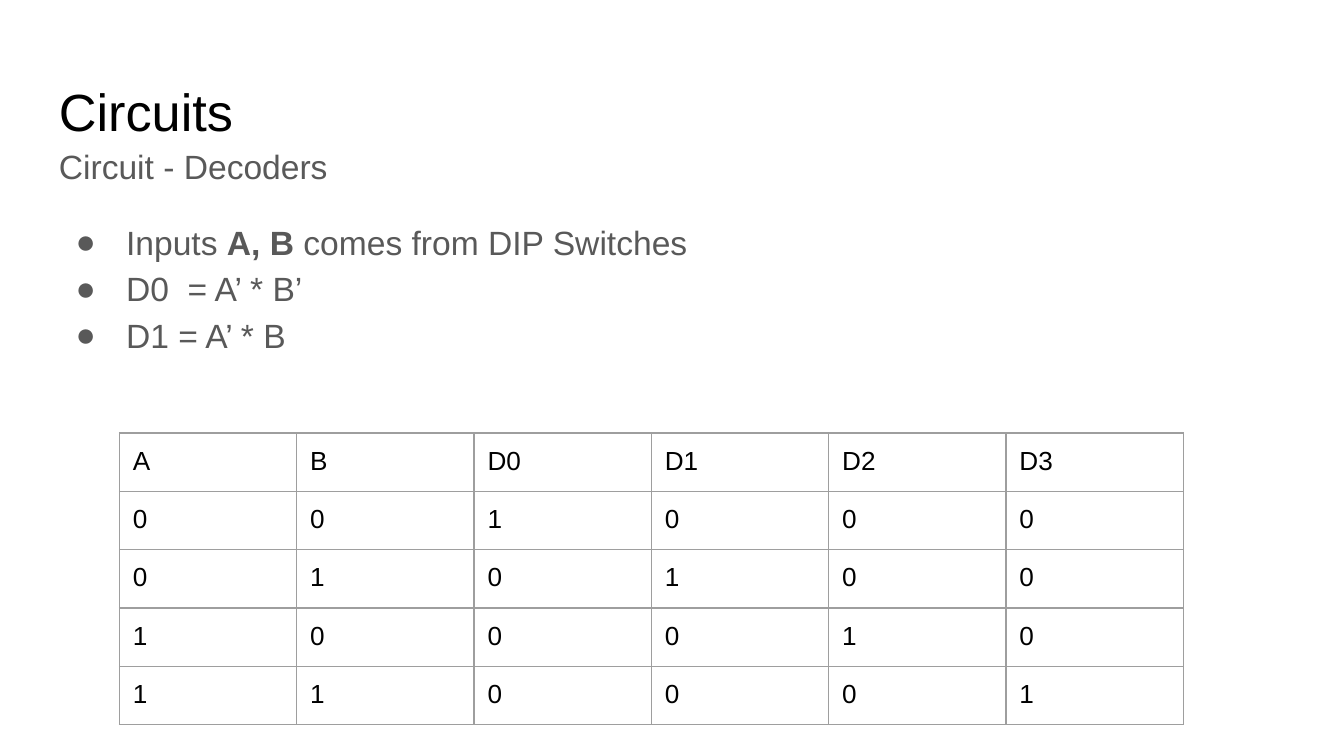
from itertools import product

from lxml.etree import SubElement
from pptx import Presentation
from pptx.dml.color import RGBColor
from pptx.enum.text import MSO_ANCHOR
from pptx.oxml.ns import qn
from pptx.util import Pt

FONT = "Arial"
BLACK, GREY, RULE = "000000", "595959", "9E9E9E"
INSET = Pt(7.2)


def color(value):
    return RGBColor.from_string(value)


def add_text(para, text, size=18, fill=GREY, bold=False):
    span = para.add_run()
    span.text = text
    span.font.name = FONT
    span.font.size = Pt(size)
    span.font.bold = bold
    span.font.color.rgb = color(fill)


def add_frame(page, box):
    frame = page.shapes.add_textbox(*map(Pt, box)).text_frame
    frame.word_wrap = True
    frame.vertical_anchor = MSO_ANCHOR.TOP
    frame.margin_left = frame.margin_right = INSET
    frame.margin_top = frame.margin_bottom = INSET
    return frame


def set_bullet(para):
    properties = para._p.get_or_add_pPr()
    properties.set("marL", str(Pt(36)))
    properties.set("indent", str(Pt(-27)))
    bullet_color = SubElement(properties, qn("a:buClr"))
    SubElement(bullet_color, qn("a:srgbClr"), val=GREY)
    SubElement(properties, qn("a:buFont"), typeface=FONT)
    SubElement(properties, qn("a:buChar"), char="●")


def set_borders(cell):
    properties = cell._tc.get_or_add_tcPr()
    for position, side in enumerate(("a:lnL", "a:lnR", "a:lnT", "a:lnB")):
        line = properties.makeelement(qn(side), {"w": str(Pt(0.75))})
        fill = SubElement(line, qn("a:solidFill"))
        SubElement(fill, qn("a:srgbClr"), val=RULE)
        properties.insert(position, line)


def add_title(page, box, text):
    add_text(add_frame(page, box).paragraphs[0], text, size=28, fill=BLACK)


def add_body(page, box, heading, bullets):
    frame = add_frame(page, box)
    para = frame.paragraphs[0]
    para.line_spacing = 1.15
    add_text(para, heading)
    for index, pieces in enumerate(bullets):
        para = frame.add_paragraph()
        para.line_spacing = 1.15
        para.space_before = Pt(0 if index else 16)
        set_bullet(para)
        for text, bold in pieces:
            add_text(para, text, bold=bold)


def add_truth_table(page, box, rows):
    table = page.shapes.add_table(len(rows), len(rows[0]), *map(Pt, box)).table
    table.first_row = table.horz_banding = False
    for row, values in enumerate(rows):
        for column, value in enumerate(values):
            cell = table.cell(row, column)
            cell.margin_left = cell.margin_right = INSET
            cell.margin_top = cell.margin_bottom = INSET
            cell.fill.background()
            set_borders(cell)
            add_text(cell.text_frame.paragraphs[0], value, size=14, fill=BLACK)


def decoder_rows():
    # Each pair of inputs switches on exactly one output
    rows = [["A", "B", "D0", "D1", "D2", "D3"]]
    for a, b in product((0, 1), repeat=2):
        outputs = [int(output == 2 * a + b) for output in range(4)]
        rows.append([str(bit) for bit in (a, b, *outputs)])
    return rows


def main():
    deck = Presentation()
    deck.slide_width, deck.slide_height = Pt(720), Pt(405)
    page = deck.slides.add_slide(deck.slide_layouts[6])

    # Title
    add_title(page, (24.5, 35, 671, 45.1), "Circuits")

    # Subtitle and bullets
    bullets = [
        [("Inputs ", False), ("A, B", True), (" comes from DIP Switches", False)],
        [("D0  = A’ * B’", False)],
        [("D1 = A’ * B", False)],
    ]
    add_body(page, (24.5, 67.7, 595, 111.6), "Circuit - Decoders", bullets)

    # Truth table
    add_truth_table(page, (64, 232, 570, 150.5), decoder_rows())

    deck.save("out.pptx")


if __name__ == "__main__":
    main()
